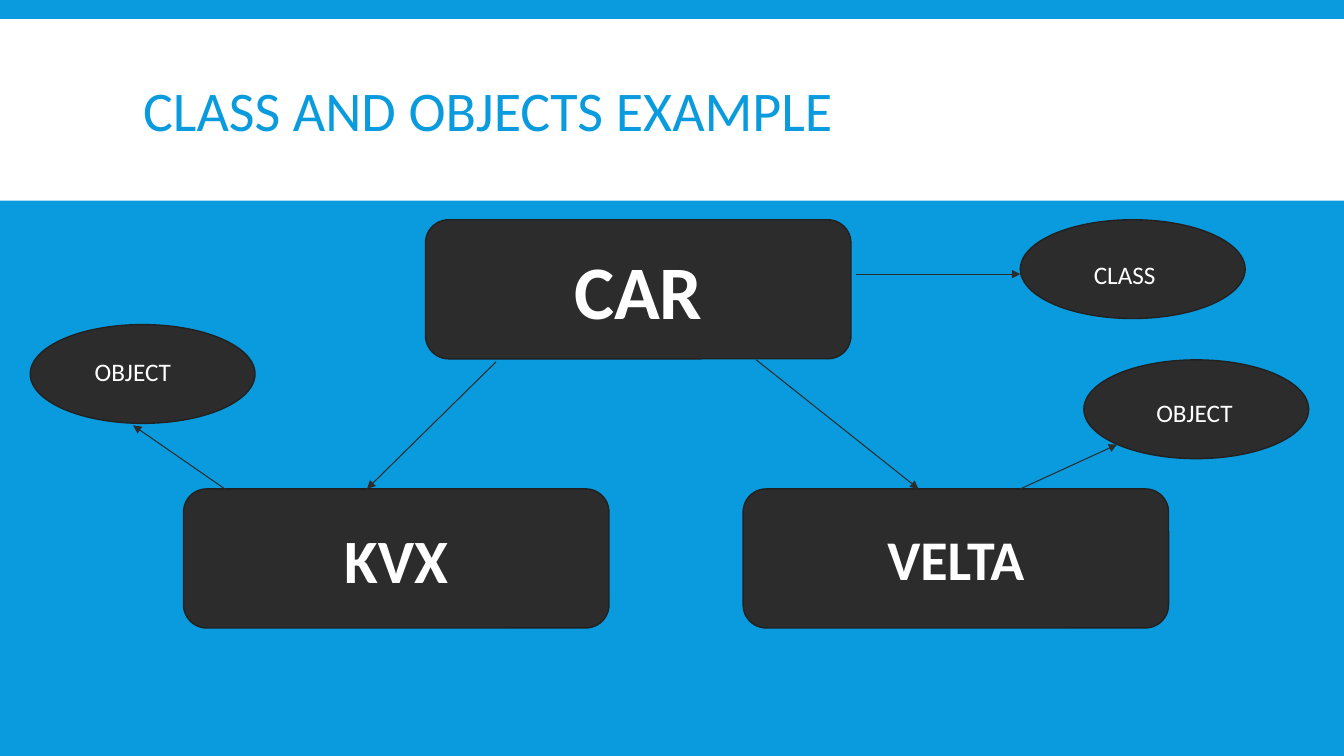
import dataclasses

import pptx
import pptx.dml.color
import pptx.enum.shapes
import pptx.enum.text
import pptx.oxml
import pptx.oxml.ns
import pptx.util

Inches = pptx.util.Inches
Pt = pptx.util.Pt
Shape = pptx.enum.shapes.MSO_SHAPE
Align = pptx.enum.text.PP_ALIGN
Anchor = pptx.enum.text.MSO_ANCHOR
AutoSize = pptx.enum.text.MSO_AUTO_SIZE
rgb = pptx.dml.color.RGBColor.from_string


@dataclasses.dataclass(frozen=True)
class Theme:
    font: str = "Calibri"
    blue: str = "099BDD"
    white: str = "FFFFFF"
    dark: str = "2C2C2C"
    outline: str = "212121"
    title: int = 40
    label: int = 18


THEME = Theme()
BOX_SIZE = (4.22, 1.38)
OVAL_SIZE = (2.23, 0.98)


def write(tf, text, size, color, bold=False, align=Align.LEFT):
    tf.word_wrap = True
    p = tf.paragraphs[0]
    p.text = text
    p.alignment = align
    p.font.name = THEME.font
    p.font.size = Pt(size)
    p.font.bold = bold
    p.font.color.rgb = rgb(color)
    return p


def add_block(s, kind, left, top, width, height, fill, line=None):
    sp = s.shapes.add_shape(
        kind, Inches(left), Inches(top), Inches(width), Inches(height))
    sp.shadow.inherit = False
    sp.fill.solid()
    sp.fill.fore_color.rgb = rgb(fill)
    if line:
        sp.line.color.rgb = rgb(line)
        sp.line.width = Pt(1)
    else:
        sp.line.fill.background()
    return sp


def add_title(s, text):
    band = add_block(s, Shape.RECTANGLE, 0, 0.19, 13.33, 1.8, THEME.white)
    sp = s.shapes.title
    sp.element.addprevious(band.element)
    sp.left, sp.top = Inches(1.32), Inches(0.31)
    sp.width, sp.height = Inches(10.7), Inches(1.65)
    tf = sp.text_frame
    tf.auto_size = AutoSize.NONE
    tf.vertical_anchor = Anchor.MIDDLE
    write(tf, text, THEME.title, THEME.blue).line_spacing = 0.85


def add_box(s, text, left, top, size):
    sp = add_block(s, Shape.ROUNDED_RECTANGLE, left, top, *BOX_SIZE,
                   THEME.dark, THEME.outline)
    sp.text_frame.vertical_anchor = Anchor.MIDDLE
    write(sp.text_frame, text, size, THEME.white, True, Align.CENTER)


def add_oval(s, text, left, top, label_left, label_top, label_width):
    add_block(s, Shape.OVAL, left, top, *OVAL_SIZE, THEME.dark, THEME.outline)
    label = s.shapes.add_textbox(Inches(label_left), Inches(label_top),
                                 Inches(label_width), Inches(0.4))
    write(label.text_frame, text, THEME.label, THEME.white)
    label.text_frame.auto_size = AutoSize.SHAPE_TO_FIT_TEXT


def add_arrow(s, x1, y1, x2, y2):
    arrow = s.shapes.add_connector(
        pptx.enum.shapes.MSO_CONNECTOR.STRAIGHT,
        Inches(x1), Inches(y1), Inches(x2), Inches(y2))
    arrow.line.color.rgb = rgb(THEME.dark)
    arrow.line.width = Pt(0.75)
    ln = arrow.line._get_or_add_ln()
    tail = pptx.oxml.parse_xml(
        f'<a:tailEnd {pptx.oxml.ns.nsdecls("a")} type="triangle"/>')
    effects = pptx.oxml.parse_xml(
        f'<a:effectLst {pptx.oxml.ns.nsdecls("a")}/>')
    ln.append(tail)
    ln.addnext(effects)


def main():
    prs = pptx.Presentation()
    prs.slide_width, prs.slide_height = Inches(13.33), Inches(7.5)
    s = prs.slides.add_slide(prs.slide_layouts.get_by_name("Title Only"))
    s.background.fill.solid()
    s.background.fill.fore_color.rgb = rgb(THEME.blue)

    add_title(s, "CLASS AND OBJECTS EXAMPLE")

    object_top = 4.85
    add_box(s, "CAR", 4.22, 2.18, 54)
    add_box(s, "KVX", 1.82, object_top, 44)
    add_box(s, "VELTA", 7.37, object_top, 40)

    add_oval(s, "CLASS", 10.12, 2.18, 10.75, 2.52, 1.05)
    add_oval(s, "OBJECT", 0.3, 3.22, 0.84, 3.49, 1.61)
    add_oval(s, "OBJECT", 10.75, 3.57, 11.37, 3.89, 1.61)

    for ends in (
        (4.92, 3.59, 3.64, object_top),
        (7.5, 3.57, 9.11, object_top),
        (8.49, 2.72, 10.12, 2.72),
        (2.23, object_top, 1.32, 4.22),
        (10.12, object_top, 11.08, 4.41),
    ):
        add_arrow(s, *ends)

    prs.save("out.pptx")


main()
